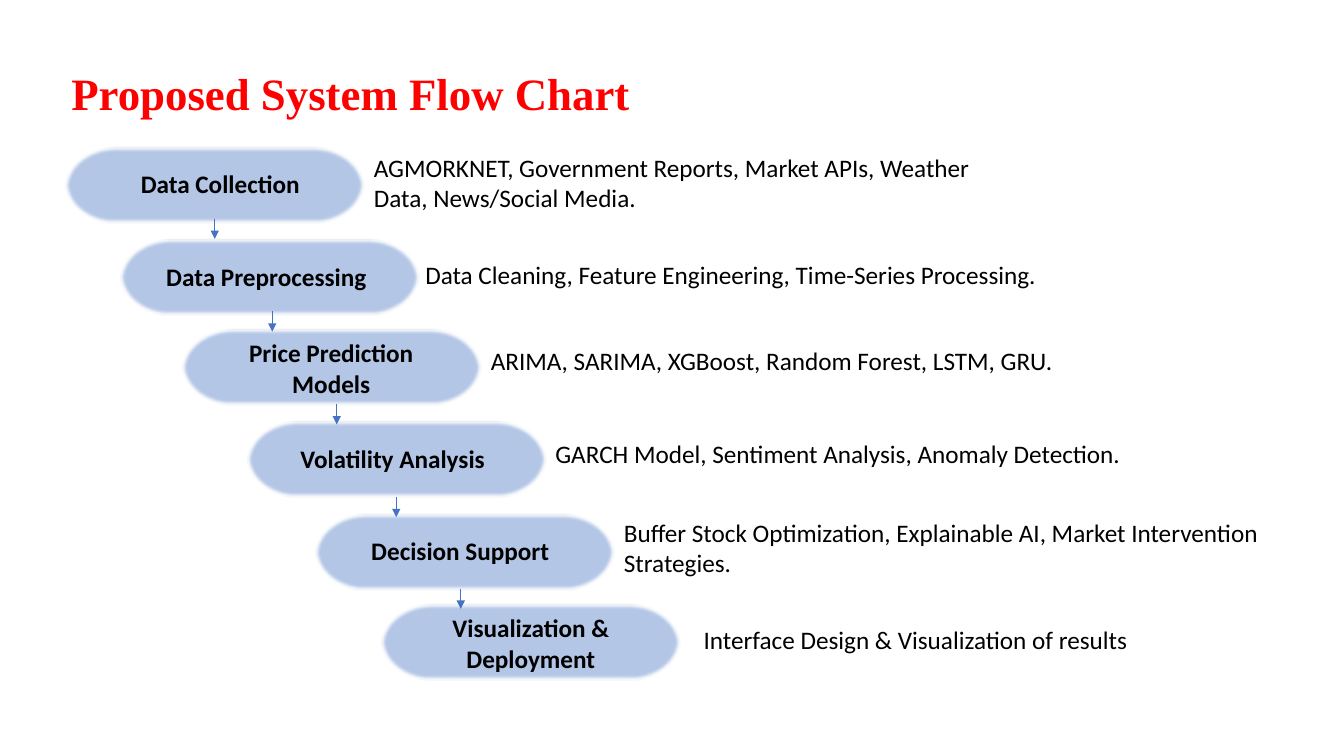
from dataclasses import dataclass

from pptx import Presentation
from pptx import util as u
from pptx.dml.color import RGBColor
from pptx.enum import shapes, text
from pptx.oxml.xmlchemy import OxmlElement

RED = RGBColor(0xFF, 0x00, 0x00)
BLACK = RGBColor(0x00, 0x00, 0x00)
PALE_BLUE = RGBColor(0xB4, 0xC7, 0xE7)
NAVY = RGBColor(0x1E, 0x32, 0x56)
BLUE = RGBColor(0x44, 0x72, 0xC4)

STAGE_W, STAGE_H = 2.96, 0.75
LABEL_W = 2.31
ARROW_H = 0.2
SOFT_EDGE = u.Pt(2.5)
CENTER, LEFT = text.PP_ALIGN.CENTER, text.PP_ALIGN.LEFT


@dataclass
class Caption:
    left: float
    top: float
    width: float
    height: float
    words: str
    align: text.PP_ALIGN = LEFT
    bold: bool = False
    size: float = 18
    font: str = "Calibri"
    color: RGBColor = BLACK


@dataclass
class Stage:
    left: float
    top: float
    label: Caption
    detail: Caption


@dataclass
class Arrow:
    x: float
    top: float


def label(left: float, top: float, height: float, words: str,
          align: text.PP_ALIGN = CENTER) -> Caption:
    return Caption(left, top, LABEL_W, height, words, align, bold=True)


def detail(left: float, top: float, height: float, words: str,
           width: float = 6.66) -> Caption:
    return Caption(left, top, width, height, words)


TITLE = Caption(0.61, 0.6, 5.9, 0.64, "Proposed System Flow Chart",
                bold=True, size=32, font="Times New Roman", color=RED)

STAGES = [
    Stage(0.65, 1.46, label(1.03, 1.62, 0.42, "Data Collection"),
          detail(3.61, 1.46, 0.71, "AGMORKNET, Government Reports, Market APIs, "
                                   "Weather Data, News/Social Media.")),
    Stage(1.19, 2.37, label(1.55, 2.54, 0.42, "Data Preprocessing", LEFT),
          detail(4.12, 2.52, 0.4, "Data Cleaning, Feature Engineering, "
                                  "Time-Series Processing.")),
    Stage(1.81, 3.27, label(2.13, 3.3, 0.71, "Price Prediction Models"),
          detail(4.77, 3.38, 0.4, "ARIMA, SARIMA, XGBoost, Random Forest, LSTM, GRU.")),
    Stage(2.45, 4.18, label(2.88, 4.35, 0.42, "Volatility Analysis", LEFT),
          detail(5.41, 4.3, 0.4, "GARCH Model, Sentiment Analysis, Anomaly Detection.")),
    Stage(3.13, 5.1, label(3.41, 5.26, 0.42, "Decision Support"),
          detail(6.09, 5.08, 0.71, "Buffer Stock Optimization, Explainable AI, "
                                   "Market Intervention Strategies.")),
    Stage(3.78, 5.99, label(4.11, 6.03, 0.71, "Visualization & Deployment"),
          detail(6.88, 6.14, 0.4, "Interface Design & Visualization of results", 4.56)),
]

ARROWS = [Arrow(2.13, 2.17), Arrow(2.7, 3.09), Arrow(3.34, 4.01),
          Arrow(3.93, 4.93), Arrow(4.57, 5.84)]


def add_caption(s, caption: Caption) -> None:
    sp = s.shapes.add_textbox(u.Inches(caption.left), u.Inches(caption.top),
                              u.Inches(caption.width), u.Inches(caption.height))
    tf = sp.text_frame
    tf.word_wrap = True
    tf.auto_size = text.MSO_AUTO_SIZE.SHAPE_TO_FIT_TEXT
    p = tf.paragraphs[0]
    p.text = caption.words
    p.alignment = caption.align
    font = p.runs[0].font
    font.name, font.size, font.bold = caption.font, u.Pt(caption.size), caption.bold
    font.color.rgb = caption.color


def add_stage(s, stage: Stage) -> None:
    """Draw the soft-edged terminator with its label and detail."""
    sp = s.shapes.add_shape(shapes.MSO_SHAPE.FLOWCHART_TERMINATOR,
                            u.Inches(stage.left), u.Inches(stage.top),
                            u.Inches(STAGE_W), u.Inches(STAGE_H))
    sp.fill.solid()
    sp.fill.fore_color.rgb = PALE_BLUE
    sp.line.color.rgb = NAVY
    sp.line.width = u.Pt(1)
    sp.shadow.inherit = False
    soft_edge = OxmlElement("a:softEdge")
    soft_edge.set("rad", str(int(SOFT_EDGE)))
    sp.element.spPr.find("{*}effectLst").append(soft_edge)
    add_caption(s, stage.label)
    add_caption(s, stage.detail)


def add_arrow(s, arrow: Arrow) -> None:
    x = u.Inches(arrow.x)
    line = s.shapes.add_connector(shapes.MSO_CONNECTOR.STRAIGHT, x, u.Inches(arrow.top),
                                  x, u.Inches(arrow.top + ARROW_H))
    line.line.color.rgb = BLUE
    line.line.width = u.Pt(0.5)
    head = OxmlElement("a:tailEnd")
    head.set("type", "triangle")
    line.line._get_or_add_ln().append(head)
    line.element.spPr.append(OxmlElement("a:effectLst"))


def main() -> None:
    prs = Presentation()
    prs.slide_width, prs.slide_height = u.Inches(13.33), u.Inches(7.5)
    s = prs.slides.add_slide(prs.slide_layouts[6])
    add_caption(s, TITLE)
    for stage in STAGES:
        add_stage(s, stage)
    for arrow in ARROWS:
        add_arrow(s, arrow)
    prs.save("out.pptx")


if __name__ == "__main__":
    main()
